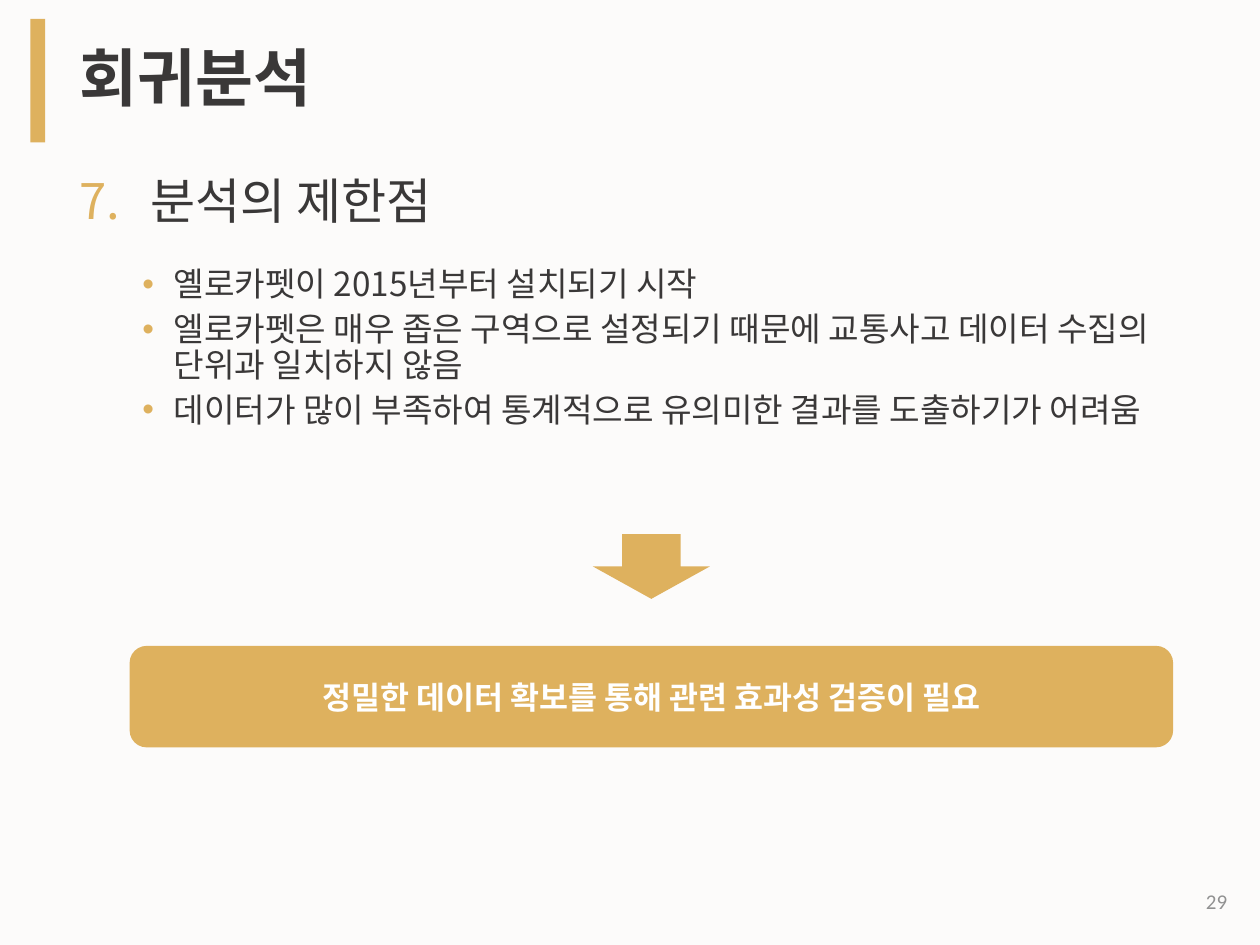
from dataclasses import dataclass

import lxml.etree
import pptx
import pptx.dml.color
import pptx.enum.shapes
import pptx.enum.text
import pptx.oxml.ns
import pptx.util

Pt = pptx.util.Pt
RGB = pptx.dml.color.RGBColor.from_string
SHAPE = pptx.enum.shapes.MSO_SHAPE
ALIGN = pptx.enum.text.PP_ALIGN
ANCHOR = pptx.enum.text.MSO_ANCHOR
qn = pptx.oxml.ns.qn


@dataclass(frozen=True)
class Theme:
    paper: str = "FCFBFA"
    gold: str = "DEB15E"
    ink: str = "3A3838"
    white: str = "FFFFFF"
    grey: str = "919191"
    korean: str = "Noto Sans CJK KR"
    latin: str = "Calibri"
    title: int = 36
    heading: int = 28
    point: int = 19
    conclusion: int = 18
    page: int = 12


THEME = Theme()

LIMITATIONS = [
    "옐로카펫이 2015년부터 설치되기 시작",
    "엘로카펫은 매우 좁은 구역으로 설정되기 때문에 교통사고 데이터 수집의 단위과 일치하지 않음",
    "데이터가 많이 부족하여 통계적으로 유의미한 결과를 도출하기가 어려움",
]


def style(paragraph, size, color, face=THEME.korean, bold=False):
    font = paragraph.font
    font.size, font.bold, font.name = Pt(size), bold, face
    font.color.rgb = RGB(color)
    properties = paragraph._p.pPr.find(qn("a:defRPr"))
    lxml.etree.SubElement(properties, qn("a:ea"), typeface=THEME.korean)


def add_bullet(paragraph, left, hanging, tag, **attributes):
    """Give the paragraph a gold marker and a hanging indent."""
    properties = paragraph._p.get_or_add_pPr()
    properties.set("marL", str(Pt(left)))
    properties.set("indent", str(-Pt(hanging)))
    color = lxml.etree.SubElement(properties, qn("a:buClr"))
    lxml.etree.SubElement(color, qn("a:srgbClr"), val=THEME.gold)
    lxml.etree.SubElement(properties, qn("a:buFont"), typeface=THEME.korean if tag == "a:buAutoNum" else "Arial")
    lxml.etree.SubElement(properties, qn(tag), **attributes)


def add_text_frame(slide, left, top, width, height, anchor=ANCHOR.MIDDLE):
    frame = slide.shapes.add_textbox(Pt(left), Pt(top), Pt(width), Pt(height)).text_frame
    frame.word_wrap = True
    frame.vertical_anchor = anchor
    return frame


def add_gold_shape(slide, kind, left, top, width, height):
    shape = slide.shapes.add_shape(kind, Pt(left), Pt(top), Pt(width), Pt(height))
    shape.shadow.inherit = False
    shape.fill.solid()
    shape.fill.fore_color.rgb = RGB(THEME.gold)
    shape.line.fill.background()
    return shape


def add_title(slide, text):
    add_gold_shape(slide, SHAPE.RECTANGLE, 17.3, 10.8, 8.6, 70.6)
    title = add_text_frame(slide, 38.2, 10.8, 633, 70.6).paragraphs[0]
    title.text = text
    title.line_spacing = 0.9
    style(title, THEME.title, THEME.ink, bold=True)


def add_limitations(slide, heading_text, points):
    frame = add_text_frame(slide, 38.2, 97.9, 633, 198, ANCHOR.TOP)
    heading = frame.paragraphs[0]
    heading.text = heading_text
    heading.line_spacing, heading.space_before = 0.9, Pt(10)
    add_bullet(heading, 40.5, 40.5, "a:buAutoNum", type="arabicPeriod", startAt="7")
    style(heading, THEME.heading, THEME.ink)
    for index, text in enumerate(points):
        point = frame.add_paragraph()
        point.text = text
        point.level = 1
        point.line_spacing = 0.9
        point.space_before = Pt(5 if index else 21.5)
        add_bullet(point, 54, 18, "a:buChar", char="•")
        style(point, THEME.point, THEME.ink)


def add_conclusion(slide, text):
    add_gold_shape(slide, SHAPE.DOWN_ARROW, 338.8, 305.2, 66.8, 37)
    box = add_gold_shape(slide, SHAPE.ROUNDED_RECTANGLE, 74.1, 369.1, 596.3, 58)
    box.text_frame.vertical_anchor = ANCHOR.MIDDLE
    message = box.text_frame.paragraphs[0]
    message.text = text
    message.alignment = ALIGN.CENTER
    style(message, THEME.conclusion, THEME.white, THEME.latin, bold=True)


def add_page_number(slide, number):
    page = add_text_frame(slide, 670.3, 500.5, 38, 28.8).paragraphs[0]
    page.text = number
    page.alignment = ALIGN.RIGHT
    style(page, THEME.page, THEME.grey, THEME.latin)


def main():
    presentation = pptx.Presentation()
    presentation.slide_width, presentation.slide_height = Pt(720), Pt(540)
    slide = presentation.slides.add_slide(presentation.slide_layouts[6])
    slide.background.fill.solid()
    slide.background.fill.fore_color.rgb = RGB(THEME.paper)
    add_title(slide, "회귀분석")
    add_limitations(slide, "분석의 제한점", LIMITATIONS)
    add_page_number(slide, "29")
    add_conclusion(slide, "정밀한 데이터 확보를 통해 관련 효과성 검증이 필요")
    presentation.save("out.pptx")


if __name__ == "__main__":
    main()
